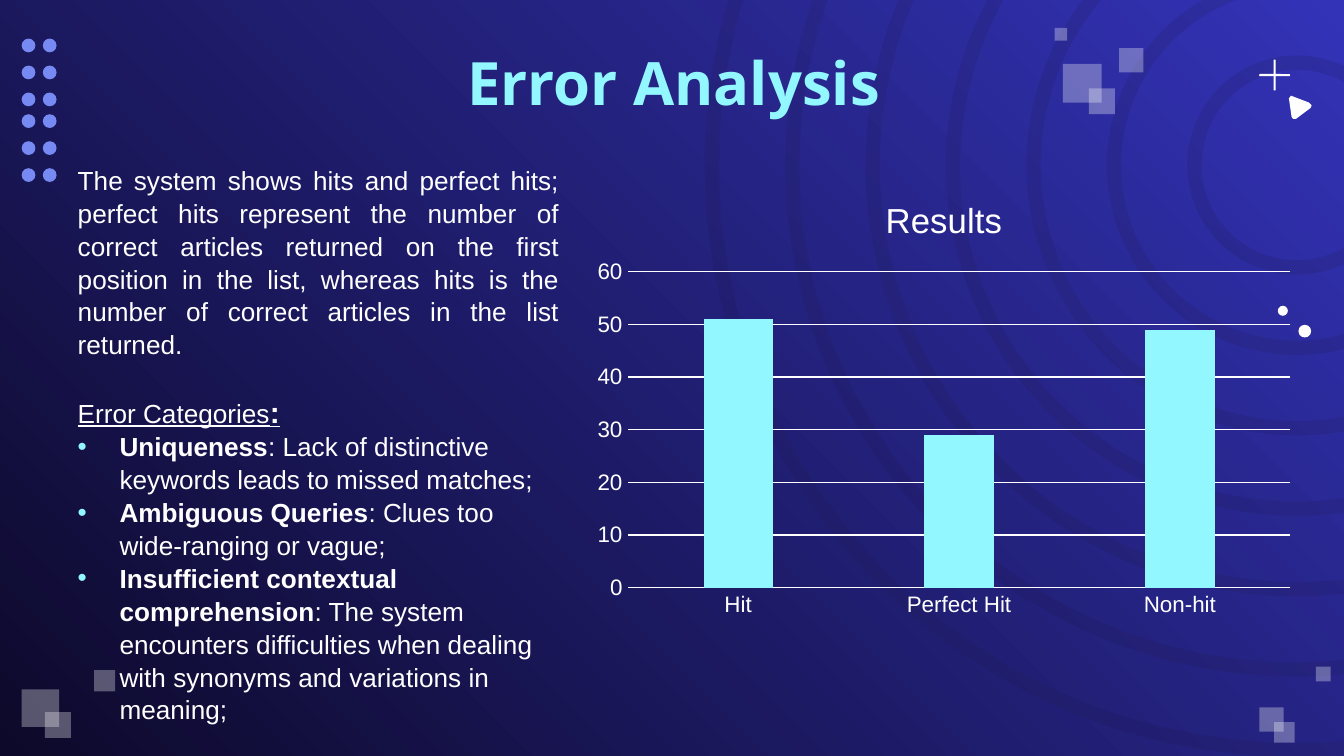
import pptx
import pptx.chart.data
import pptx.dml.color
import pptx.enum.chart
import pptx.enum.shapes
import pptx.enum.text
import pptx.oxml
import pptx.oxml.ns
import pptx.util

Cm, Pt = pptx.util.Cm, pptx.util.Pt
SHAPE = pptx.enum.shapes.MSO_SHAPE
ALIGN = pptx.enum.text.PP_ALIGN
ANCHOR = pptx.enum.text.MSO_ANCHOR
TICK = pptx.enum.chart.XL_TICK_MARK

WHITE, CYAN, PERIWINKLE = "FFFFFF", "92F7FF", "7789F2"
RING, NIGHT, ROYAL = "201A4A", "0D092A", "3333B8"
BODY_FONT = "Arial"


def rgb(color):
    return pptx.dml.color.RGBColor.from_string(color)


def paint(sp, color, alpha=None):
    """Give a shape a flat fill without line or shadow; alpha is a percentage."""
    sp.shadow.inherit = False
    sp.line.fill.background()
    sp.fill.solid()
    sp.fill.fore_color.rgb = rgb(color)
    if alpha is not None:
        clr = sp.fill._xPr.find(".//" + pptx.oxml.ns.qn("a:srgbClr"))
        clr.append(pptx.oxml.parse_xml(
            f'<a:alpha {pptx.oxml.ns.nsdecls("a")} val="{alpha * 1000}"/>'))


def add_flat(slide, kind, x, y, w, h, color, alpha=None):
    sp = slide.shapes.add_shape(kind, Cm(x), Cm(y), Cm(w), Cm(h))
    paint(sp, color, alpha)
    return sp


def style_font(font, size, color=WHITE, name=BODY_FONT, bold=False):
    font.size = Pt(size)
    font.name = name
    font.bold = bold
    font.color.rgb = rgb(color)


def add_run(p, text, size=14, underline=False, **style):
    r = p.add_run()
    r.text = text
    style_font(r.font, size, **style)
    r.font.underline = underline


def set_background(slide):
    fill = slide.background.fill
    fill.gradient()
    fill.gradient_angle = 45
    for stop, color in zip(fill.gradient_stops, (NIGHT, ROYAL)):
        stop.color.rgb = rgb(color)


def add_rings(slide, cx, cy):
    """Concentric rings, the largest at the back."""
    for i in reversed(range(7)):
        radius = 2.07 + 1.52 * i
        sp = add_flat(slide, SHAPE.DONUT, cx - radius, cy - radius,
                      2 * radius, 2 * radius, RING, 17)
        sp.adjustments[0] = 0.27 / (2 * radius)


def add_squares(slide, x, y, squares):
    for dx, dy, side in squares:
        add_flat(slide, SHAPE.RECTANGLE, x + dx, y + dy, side, side, WHITE, 31)


def add_dot_grid(slide, x, y):
    for row in range(3):
        for col in range(2):
            add_flat(slide, SHAPE.OVAL, x + 0.4 * col, y + 0.51 * row,
                     0.26, 0.26, PERIWINKLE)


def add_accents(slide, x, y):
    """Plus sign, rounded triangle and two dots."""
    arm, thick = 0.58, 0.04
    mid = (arm - thick) / 2
    add_flat(slide, SHAPE.ROUNDED_RECTANGLE, x + mid, y, thick, arm, WHITE)
    add_flat(slide, SHAPE.ROUNDED_RECTANGLE, x, y + mid, arm, thick, WHITE)
    corners = [(0.6, 0.68), (0.56, 0.73), (0.61, 1.08), (0.64, 1.12),
               (0.69, 1.12), (0.97, 0.91), (0.99, 0.86), (0.94, 0.81)]
    points = [(Cm(x + dx), Cm(y + dy)) for dx, dy in corners]
    builder = slide.shapes.build_freeform(*points[0])
    builder.add_line_segments(points[1:], close=True)
    paint(builder.convert_to_shape(), WHITE)
    for dx, dy, size in [(0.35, 4.65, 0.19), (0.74, 5.01, 0.24)]:
        add_flat(slide, SHAPE.OVAL, x + dx, y + dy, size, size, WHITE)


def add_title(slide, x, y, w, h):
    tf = slide.shapes.add_textbox(Cm(x), Cm(y), Cm(w), Cm(h)).text_frame
    tf.word_wrap = True
    tf.vertical_anchor = ANCHOR.MIDDLE
    p = tf.paragraphs[0]
    p.alignment = ALIGN.CENTER
    add_run(p, "Error Analysis", 32, color=CYAN, name="Open Sans", bold=True)


def add_bullet(p):
    pPr = p._p.get_or_add_pPr()
    pPr.set("marL", str(Cm(0.79)))
    pPr.set("indent", str(-Cm(0.79)))
    ns = pptx.oxml.ns.nsdecls("a")
    for xml in (f'<a:buClr {ns}><a:srgbClr val="{CYAN}"/></a:buClr>',
                f'<a:buFont {ns} typeface="{BODY_FONT}"/>',
                f'<a:buChar {ns} char="•"/>'):
        pPr.append(pptx.oxml.parse_xml(xml))


def add_findings(slide, x, y, w, h):
    tf = slide.shapes.add_textbox(Cm(x), Cm(y), Cm(w), Cm(h)).text_frame
    tf.word_wrap = True
    p = tf.paragraphs[0]
    p.alignment = ALIGN.JUSTIFY
    add_run(p, "The system shows hits and perfect hits; perfect hits represent "
               "the number of correct articles returned on the first position "
               "in the list, whereas hits is the number of correct articles in "
               "the list returned.")
    p = tf.add_paragraph()
    p.alignment = ALIGN.JUSTIFY
    p.space_before = Pt(16.8)
    add_run(p, "Error Categories", underline=True)
    add_run(p, ":", 16, underline=True, bold=True)
    categories = [
        ("Uniqueness", "Lack of distinctive keywords leads to missed matches;"),
        ("Ambiguous Queries", "Clues too wide-ranging or vague;"),
        ("Insufficient contextual comprehension",
         "The system encounters difficulties when dealing with synonyms and "
         "variations in meaning;"),
    ]
    for name, description in categories:
        p = tf.add_paragraph()
        p.alignment = ALIGN.LEFT
        add_bullet(p)
        add_run(p, name, bold=True)
        add_run(p, ": " + description)
    for p in tf.paragraphs:
        p.line_spacing = 1.05


def style_line(line):
    line.color.rgb = rgb(WHITE)
    line.width = Pt(0.75)


def add_results_chart(slide, x, y, w, h):
    data = pptx.chart.data.CategoryChartData()
    data.categories = ["Hit", "Perfect Hit", "Non-hit"]
    data.add_series("Results", (51, 29, 49))
    chart = slide.shapes.add_chart(
        pptx.enum.chart.XL_CHART_TYPE.COLUMN_CLUSTERED,
        Cm(x), Cm(y), Cm(w), Cm(h), data).chart
    style_font(chart.font, 10)
    chart.has_legend = False
    chart.has_title = True
    add_run(chart.chart_title.text_frame.paragraphs[0], "Results", 18.6)
    chart.chart_title.include_in_layout = False

    plot = chart.plots[0]
    plot.gap_width = 219
    plot.overlap = -27
    plot.vary_by_categories = False
    fill = plot.series[0].format.fill
    fill.solid()
    fill.fore_color.rgb = rgb(CYAN)

    for axis in (chart.category_axis, chart.value_axis):
        axis.major_tick_mark = axis.minor_tick_mark = TICK.NONE
        style_font(axis.tick_labels.font, 12)
    style_line(chart.category_axis.format.line)
    values = chart.value_axis
    values.minimum_scale, values.maximum_scale, values.major_unit = 0, 60, 10
    values.format.line.fill.background()
    style_line(values.major_gridlines.format.line)


def main():
    prs = pptx.Presentation()
    prs.slide_width, prs.slide_height = Cm(25.4), Cm(14.29)
    slide = prs.slides.add_slide(prs.slide_layouts[6])
    set_background(slide)
    add_rings(slide, 24.51, 3.12)
    add_squares(slide, 0.41, 12.67,
                [(1.37, 0, 0.4), (0, 0.36, 0.71), (0.44, 0.79, 0.49)])
    add_squares(slide, 23.8, 12.6,
                [(0, 0.77, 0.46), (1.07, 0, 0.28), (0.28, 1.05, 0.39)])
    add_accents(slide, 23.8, 1.13)
    for top in (0.73, 2.16):
        add_dot_grid(slide, 0.41, top)
    add_squares(slide, 19.93, 0.53, [(0.16, 0.68, 0.73), (0.65, 1.14, 0.49),
                                     (1.22, 0.38, 0.46), (0, 0, 0.24)])
    add_title(slide, 2.03, 0.89, 21.41, 1.32)
    add_results_chart(slide, 11.02, 3.3, 13.64, 8.53)
    add_findings(slide, 1.22, 2.95, 9.6, 10.52)
    prs.save("out.pptx")


if __name__ == "__main__":
    main()
